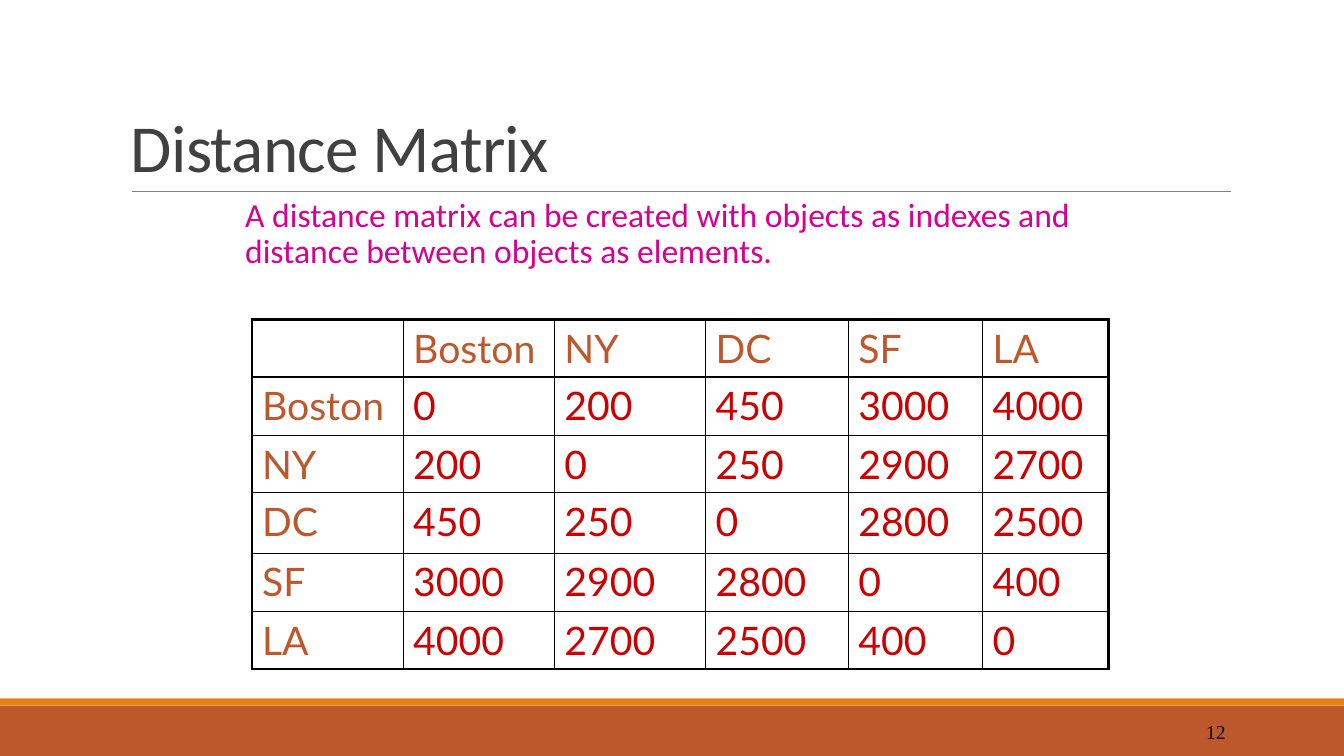
from lxml import etree
from pptx import Presentation
from pptx import util as u
from pptx.dml.color import RGBColor
from pptx.enum import shapes, text
from pptx.oxml.ns import qn

COLOURS = {
    "rust": "BD582C",
    "orange": "E48312",
    "rule": "808080",
    "title": "404040",
    "magenta": "D60093",
    "red": "CC0000",
    "black": "000000",
}
CITIES = ["Boston", "NY", "DC", "SF", "LA"]
DISTANCES = [
    [0, 200, 450, 3000, 4000],
    [200, 0, 250, 2900, 2700],
    [450, 250, 0, 2800, 2500],
    [3000, 2900, 2800, 0, 400],
    [4000, 2700, 2500, 400, 0],
]
COLUMN_WIDTHS = [3.81, 3.81, 3.81, 3.6, 3.38, 3.18]
ROW_HEIGHTS = [1.45, 1.47, 1.45, 1.52, 1.47, 1.45]
INNER_BORDER, OUTER_BORDER = 1, 2.25


def colour(name):
    return RGBColor.from_string(COLOURS[name])


def cm(*lengths):
    return [u.Cm(length) for length in lengths]


def style(para, font_name, size, colour_name):
    para.font.name = font_name
    para.font.size = u.Pt(size)
    para.font.color.rgb = colour(colour_name)


def add_band(page, area, fill):
    band = page.shapes.add_shape(shapes.MSO_SHAPE.RECTANGLE, *cm(*area))
    band.shadow.inherit = False
    band.fill.solid()
    band.fill.fore_color.rgb = colour(fill)
    band.line.fill.background()


def add_rule(page, left, right, top):
    rule = page.shapes.add_connector(
        shapes.MSO_CONNECTOR.STRAIGHT, *cm(left, top, right, top))
    rule.line.color.rgb = colour("rule")
    rule.line.width = u.Pt(0.5)
    etree.SubElement(rule._element.spPr, qn("a:effectLst"))


def add_text(page, area, words, font, anchor=text.MSO_ANCHOR.TOP, inset=0.25):
    box = page.shapes.add_textbox(*cm(*area))
    frame = box.text_frame
    frame.word_wrap = True
    frame.vertical_anchor = anchor
    frame.margin_left = u.Cm(inset)
    para = frame.paragraphs[0]
    para.text = words
    style(para, *font)
    return para


def set_borders(cell, widths):
    properties = cell._tc.get_or_add_tcPr()
    for position, (side, width) in enumerate(widths.items()):
        line = etree.Element(qn(f"a:ln{side}"), w=str(u.Pt(width)))
        fill = etree.SubElement(line, qn("a:solidFill"))
        etree.SubElement(fill, qn("a:srgbClr"), val=COLOURS["black"])
        properties.insert(position, line)


def add_matrix(page, left, top):
    rows = [[""] + CITIES]
    rows += [[city] + line for city, line in zip(CITIES, DISTANCES)]
    last = len(CITIES)
    area = cm(left, top, sum(COLUMN_WIDTHS), sum(ROW_HEIGHTS))
    table = page.shapes.add_table(len(rows), len(rows[0]), *area).table
    table.first_row = table.horz_banding = False
    for column, width in zip(table.columns, COLUMN_WIDTHS):
        column.width = u.Cm(width)
    for row, height in zip(table.rows, ROW_HEIGHTS):
        row.height = u.Cm(height)

    for r, values in enumerate(rows):
        for c, value in enumerate(values):
            cell = table.cell(r, c)
            cell.fill.background()
            para = cell.text_frame.paragraphs[0]
            para.text = str(value)
            style(para, "Lato", 28, "red" if r and c else "rust")
            at_edge = {"L": c == 0, "R": c == last, "T": r == 0, "B": r == last}
            set_borders(cell, {side: OUTER_BORDER if outer else INNER_BORDER
                               for side, outer in at_edge.items()})


def main():
    deck = Presentation()
    deck.slide_width, deck.slide_height = cm(33.87, 19.05)
    page = deck.slides.add_slide(deck.slide_layouts[6])

    # Footer bands and title rule
    add_band(page, (0, 17.78, 33.87, 1.27), "rust")
    add_band(page, (0, 17.6, 33.87, 0.18), "orange")
    add_rule(page, 3.32, 31.02, 4.82)

    # Title and introduction
    title = add_text(page, (3.05, 0.8, 27.94, 4.03), "Distance Matrix",
                     ("Calibri", 48, "title"), text.MSO_ANCHOR.BOTTOM)
    title.line_spacing = 0.85
    title.runs[0].font._element.set("spc", "-50")
    intro = add_text(
        page, (5.93, 4.88, 21.59, 11.43),
        "A distance matrix can be created with objects as indexes and "
        "distance between objects as elements.",
        ("Calibri", 24, "magenta"))
    intro.line_spacing = 0.9

    # Distances between cities
    add_matrix(page, 6.35, 8.05)

    # Page number
    number = add_text(page, (27.51, 17.93, 3.63, 1.02), "12",
                      ("Times New Roman", 14, "black"), text.MSO_ANCHOR.MIDDLE)
    number.alignment = text.PP_ALIGN.RIGHT

    deck.save("out.pptx")


if __name__ == "__main__":
    main()
